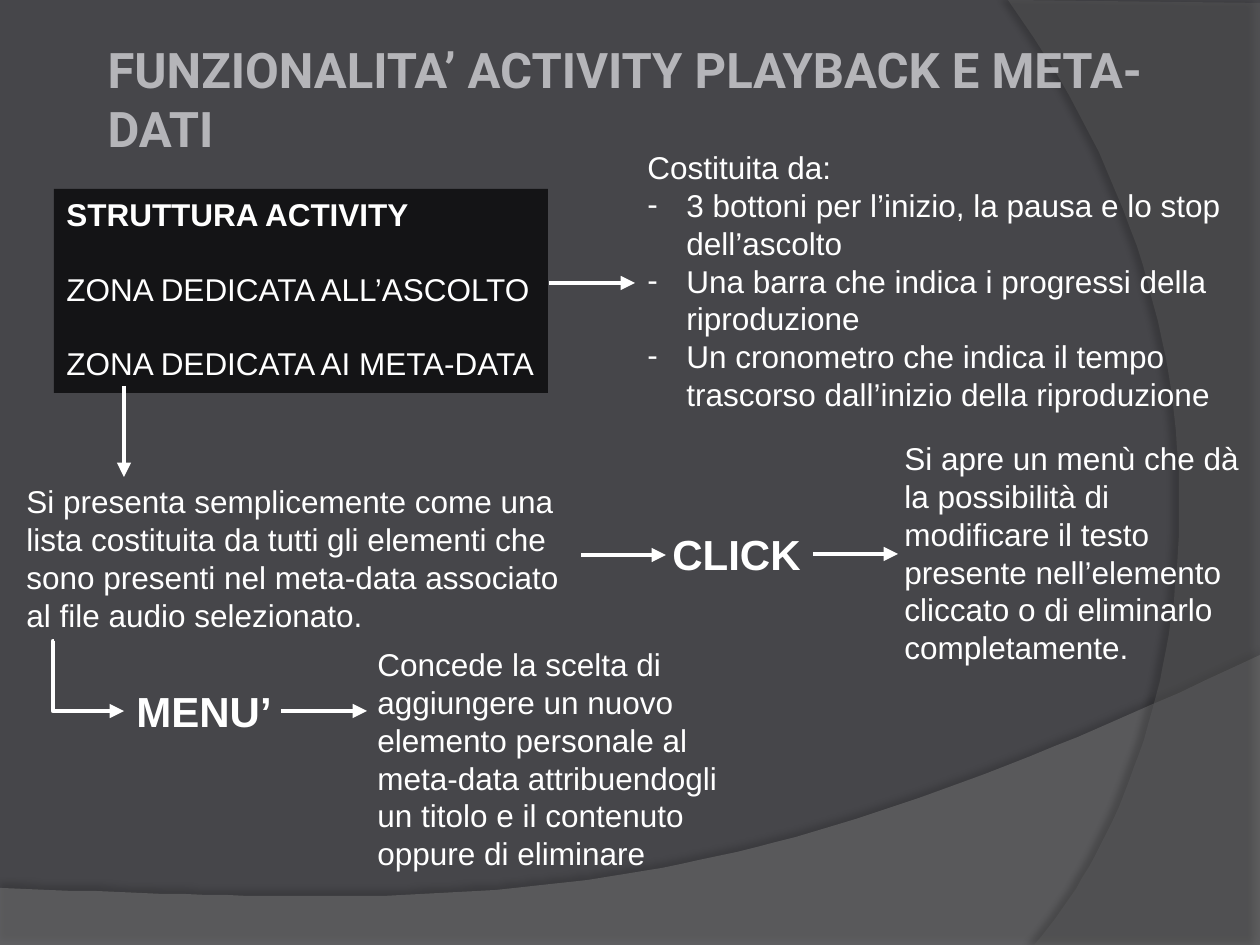
"""Build the slide on the playback and meta-data activity."""
from lxml import etree
from pptx import Presentation
from pptx.dml.color import RGBColor
from pptx.enum import shapes, text
from pptx.oxml import ns
from pptx import util as u

PX = 914400 / 126
WHITE = RGBColor(0xFF, 0xFF, 0xFF)
BLACK = RGBColor(0x00, 0x00, 0x00)
SLATE = RGBColor(0x46, 0x46, 0x4A)
SILVER = RGBColor(0xB5, 0xB5, 0xB9)
WAVE_GREY = RGBColor(0x7F, 0x7F, 0x7F)
ARC_GREY = RGBColor(0x5E, 0x5E, 0x5E)


def px(length):
    return u.Emu(round(length * PX))


def sub(parent, tag, **attributes):
    element = etree.SubElement(parent, ns.qn(tag))
    for name, value in attributes.items():
        element.set(name, str(value))
    return element


def bezier(start, first, second, end, steps=60):
    points = []
    for step in range(steps + 1):
        t = step / steps
        weights = ((1 - t) ** 3, 3 * t * (1 - t) ** 2, 3 * t * t * (1 - t), t ** 3)
        points.append(tuple(
            round(sum(w * p[axis] for w, p in zip(weights, (start, first, second, end))))
            for axis in (0, 1)))
    return points


class Deck:
    """Holds the style and the current slide."""

    font = "Arial"
    body_size = 18
    label_size = 24
    line_width = 2.75

    def __init__(self):
        self.presentation = Presentation()
        self.presentation.slide_width = px(1260)
        self.presentation.slide_height = px(945)
        self.slide = self.presentation.slides.add_slide(self.presentation.slide_layouts[5])
        background = self.slide.background.fill
        background.solid()
        background.fore_color.rgb = SLATE

    def paint(self, shape, color, opacity):
        shape.shadow.inherit = False
        shape.fill.solid()
        shape.fill.fore_color.rgb = color
        shape.line.fill.background()
        srgb = shape._element.spPr.find(".//" + ns.qn("a:srgbClr"))
        sub(srgb, "a:alpha", val=opacity * 1000)

    def swoosh(self, points, color, opacity, shade, distance, direction):
        builder = self.slide.shapes.build_freeform(*points[0], scale=PX)
        builder.add_line_segments(points[1:], close=True)
        shape = builder.convert_to_shape()
        self.paint(shape, color, opacity)
        effects = shape._element.spPr.find(ns.qn("a:effectLst"))
        shadow = sub(effects, "a:outerShdw", blurRad=u.Pt(4), dist=u.Pt(distance),
                     dir=direction * 60000, algn="ctr", rotWithShape=0)
        sub(sub(shadow, "a:srgbClr", val=BLACK), "a:alpha", val=shade * 1000)

    def title(self, words, left, top, width, height):
        title = self.slide.shapes.title
        title._element.getparent().append(title._element)
        title.left, title.top, title.width, title.height = map(px, (left, top, width, height))
        frame = title.text_frame
        frame.auto_size = text.MSO_AUTO_SIZE.NONE
        frame.vertical_anchor = text.MSO_ANCHOR.TOP
        self.add_words(frame.paragraphs[0], words, 28, True, SILVER, "Roboto")

    def add_words(self, paragraph, words, size, bold=False, color=WHITE, font=font):
        paragraph.alignment = text.PP_ALIGN.LEFT
        run = paragraph.add_run()
        run.text = words
        run.font.size = u.Pt(size)
        run.font.bold = bold
        run.font.name = font
        run.font.color.rgb = color

    def note(self, words, left, top, width, height, size=body_size, bold=False, items=()):
        box = self.slide.shapes.add_textbox(*map(px, (left, top, width, height)))
        frame = box.text_frame
        frame.word_wrap = True
        self.add_words(frame.paragraphs[0], words, size, bold)
        for item in items:
            paragraph = frame.add_paragraph()
            properties = paragraph._p.get_or_add_pPr()
            properties.set("marL", str(px(39)))
            properties.set("indent", str(px(-39)))
            sub(properties, "a:buFont", typeface=self.font)
            sub(properties, "a:buChar", char="-")
            self.add_words(paragraph, item, size)

    def label(self, words, left, top):
        self.note(words, left, top, 164, 63, self.label_size, True)

    def panel(self, heading, zones, left, top, width, height):
        panel = self.slide.shapes.add_shape(
            shapes.MSO_SHAPE.RECTANGLE, *map(px, (left, top, width, height)))
        self.paint(panel, BLACK, 70)
        frame = panel.text_frame
        frame.word_wrap = True
        frame.vertical_anchor = text.MSO_ANCHOR.TOP
        self.add_words(frame.paragraphs[0], heading, self.body_size, True)
        for zone in zones:
            paragraph = frame.add_paragraph()
            paragraph.space_before = u.Pt(21)
            self.add_words(paragraph, zone, self.body_size)

    def arrow(self, start, end, bend=None):
        kind = shapes.MSO_CONNECTOR.STRAIGHT if bend is None else shapes.MSO_CONNECTOR.ELBOW
        arrow = self.slide.shapes.add_connector(kind, *map(px, start + end))
        arrow.line.color.rgb = WHITE
        arrow.line.width = u.Pt(self.line_width)
        properties = arrow._element.spPr
        sub(properties.find(ns.qn("a:ln")), "a:tailEnd", type="triangle")
        sub(properties, "a:effectLst")
        if bend is not None:
            guides = properties.find(".//" + ns.qn("a:avLst"))
            sub(guides, "a:gd", name="adj1", fmla=f"val {bend}")


def main():
    deck = Deck()
    deck.swoosh([(0, 888), (0, 946), (1260, 946)]
                + bezier((1260, 655), (704, 919), (493, 906), (0, 888)),
                WAVE_GREY, 45, 35, 3.5, 270)
    deck.swoosh([(1260, 3), (1260, 945)]
                + bezier((1034, 945), (1178, 780), (1283, 378), (1008, 0)),
                ARC_GREY, 40, 45, 4, 180)
    deck.title("FUNZIONALITA’ ACTIVITY PLAYBACK E META-DATI", 95, 33, 1081, 72)

    deck.panel("STRUTTURA ACTIVITY",
               ["ZONA DEDICATA ALL’ASCOLTO", "ZONA DEDICATA AI META-DATA"],
               54, 189, 494, 204)
    deck.arrow((549, 283), (635, 283))
    deck.note("Costituita da:", 635, 142, 625, 280, items=[
        "3 bottoni per l’inizio, la pausa e lo stop dell’ascolto",
        "Una barra che indica i progressi della riproduzione",
        "Un cronometro che indica il tempo trascorso dall’inizio della riproduzione"])

    deck.arrow((124, 386), (124, 477))
    deck.note("Si presenta semplicemente come una lista costituita da tutti gli elementi "
              "che sono presenti nel meta-data associato al file audio selezionato.",
              14, 476, 567, 165)
    deck.arrow((581, 555), (666, 555))
    deck.label("CLICK", 660, 522)
    deck.arrow((813, 554), (898, 554))
    deck.note("Si apre un menù che dà la possibilità di modificare il testo presente "
              "nell’elemento cliccato o di eliminarlo completamente.",
              892, 433, 368, 242)

    deck.arrow((54, 641), (124, 711), bend=-1400)
    deck.label("MENU’", 124, 679)
    deck.arrow((281, 711), (367, 711))
    deck.note("Concede la scelta di aggiungere un nuovo elemento personale al meta-data "
              "attribuendogli un titolo e il contenuto oppure di eliminare",
              365, 639, 368, 242)
    deck.presentation.save("out.pptx")


if __name__ == "__main__":
    main()
